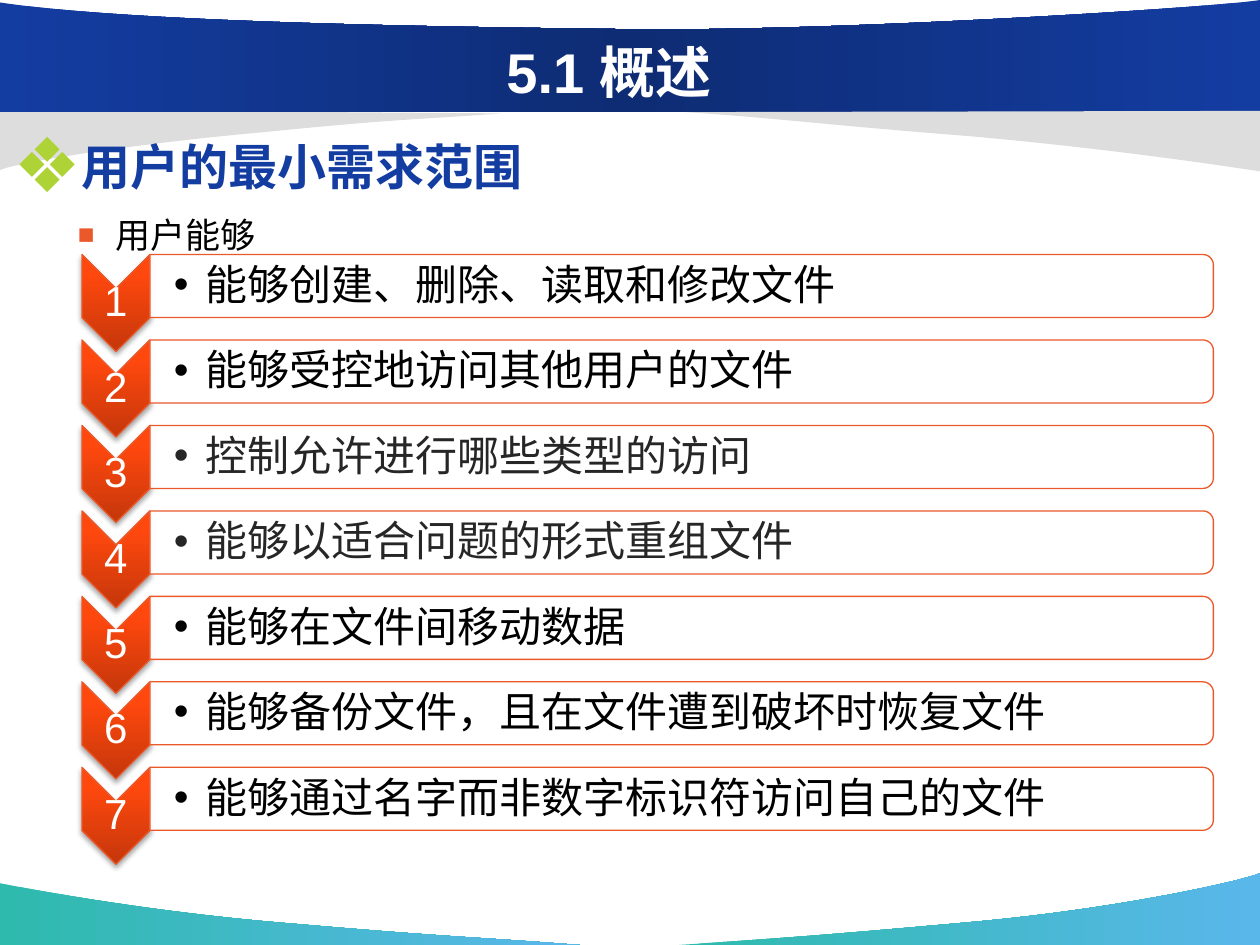
from lxml.etree import SubElement
from pptx import Presentation
from pptx.dml.color import RGBColor
from pptx.enum.shapes import MSO_SHAPE as SHAPE
from pptx.enum.text import MSO_ANCHOR as ANCHOR, PP_ALIGN as ALIGN
from pptx.oxml.ns import qn
from pptx.util import Inches, Pt

TITLE = "5.1 概述"
HEADING = "用户的最小需求范围"
LEAD = "用户能够"
NEEDS = [
    ("能够创建、删除、读取和修改文件", "000000"),
    ("能够受控地访问其他用户的文件", "000000"),
    ("控制允许进行哪些类型的访问", "262626"),
    ("能够以适合问题的形式重组文件", "262626"),
    ("能够在文件间移动数据", "000000"),
    ("能够备份文件，且在文件遭到破坏时恢复文件", "000000"),
    ("能够通过名字而非数字标识符访问自己的文件", "000000"),
]
FONT, ORANGE, NAVY = "Arial", "EB592B", "143DA2"
TEAL_TO_SKY = [(0, "2EBAAD"), (100, "5AB7EA")]
NAVY_BAND = [(0, NAVY), (50, "0E2C74"), (100, NAVY)]
FLAME = [(0, "C5370B"), (80, "FF480E"), (100, "FF4910")]
BANDS = [
    (TEAL_TO_SKY, (4.6, 7.5),
     [(3.84, 7.44, 3.58, 7.44, 2.32, 7.33), (1.06, 7.23, 0.01, 7.01, 0, 7.01), (0, 7.5)]),
    (TEAL_TO_SKY, (5.39, 7.5),
     [(6.14, 7.45, 6.46, 7.43, 7.69, 7.32), (8.92, 7.21, 9.9, 6.98, 10, 6.93), (10, 7.5)]),
    ("DDDDDD", (3.98, 0.9),
     [(3.31, 0.95, 3.18, 0.94, 2.08, 1.05), (0.97, 1.15, 0.09, 1.3, 0, 1.35), (0, 0.87)]),
    (NAVY_BAND, (0, 0.89),
     [(10, 0.89), (10, 0), (9.64, 0.06, 6.53, 0.26, 4.87, 0.23),
      (3.21, 0.21, 1.01, 0.17, 0, 0.02)]),
    ("DDDDDD", (5.44, 0.89),
     [(6.2, 0.94, 6.42, 0.98, 7.68, 1.08), (8.94, 1.19, 9.99, 1.36, 10, 1.36), (10, 0.88)]),
]
FIRST_TOP, LAST_TOP = 2.02, 6.09
PITCH = (LAST_TOP - FIRST_TOP) / (len(NEEDS) - 1)
MARK_LEFT, MARK_W, MARK_H = 0.65, 0.54, 0.77
CARD_LEFT, CARD_W, CARD_H = 1.19, 8.44, 0.5


def rgb(color):
    return RGBColor.from_string(color)


def paint(shape, fill, angle=0):
    shape.shadow.inherit = False
    if isinstance(fill, str):
        shape.fill.solid()
        shape.fill.fore_color.rgb = rgb(fill)
        return
    shape.fill.gradient()
    gradient = shape._element.spPr.find(qn("a:gradFill"))
    gradient.clear()
    gradient.set("rotWithShape", "0")
    stops = SubElement(gradient, qn("a:gsLst"))
    for position, color in fill:
        stop = SubElement(stops, qn("a:gs"), pos=str(position * 1000))
        SubElement(stop, qn("a:srgbClr"), val=color)
    SubElement(gradient, qn("a:lin"), ang=str(angle * 60000), scaled="0")


def outline(shape):
    shape.line.color.rgb = rgb(ORANGE)
    shape.line.width = Pt(0.75)


def add_band(shapes, fill, start, segments):
    """Add a closed outline whose six-number segments are cubic curves."""
    ends = [segment[-2:] for segment in segments]
    left, top = map(min, zip(start, *ends))
    builder = shapes.build_freeform(*map(Inches, start))
    builder.add_line_segments([tuple(map(Inches, end)) for end in ends], close=True)
    band = builder.convert_to_shape()
    sides = list(band._element.spPr.iter(qn("a:lnTo")))
    for side, segment in zip(sides, segments):
        if len(segment) == 6:
            side.tag = qn("a:cubicBezTo")
            side.clear()
            for x, y in zip(segment[::2], segment[1::2]):
                SubElement(side, qn("a:pt"), x=str(Inches(x - left)), y=str(Inches(y - top)))
    paint(band, fill)
    band.line.fill.background()


def add_upright(shapes, kind, left, top, width, height):
    """Add a preset turned by 90 degrees that covers the given box."""
    shift = (width - height) / 2
    shape = shapes.add_shape(kind, Inches(left + shift), Inches(top - shift),
                             Inches(height), Inches(width))
    shape.rotation = 90
    return shape


def add_frame(shapes, left, top, width, height, insets=None):
    frame = shapes.add_textbox(*map(Inches, (left, top, width, height))).text_frame
    frame.word_wrap = True
    if insets:
        frame.margin_left, frame.margin_top, frame.margin_right, frame.margin_bottom = map(
            Inches, insets)
        frame.vertical_anchor = ANCHOR.MIDDLE
    return frame


def write(paragraph, text, size, color, bold=False, spacing=None):
    paragraph.text = text
    font = paragraph.font
    font.name, font.size, font.bold = FONT, Pt(size), bold
    font.color.rgb = rgb(color)
    paragraph.line_spacing = spacing


def add_bullet(paragraph, char, margin, hanging, color=None, percent=100):
    props = paragraph._p.get_or_add_pPr()
    props.set("marL", str(Inches(margin)))
    props.set("indent", str(-Inches(hanging)))
    if color:
        SubElement(SubElement(props, qn("a:buClr")), qn("a:srgbClr"), val=color)
    SubElement(props, qn("a:buSzPct"), val=str(percent * 1000))
    SubElement(props, qn("a:buFont"), typeface=FONT)
    SubElement(props, qn("a:buChar"), char=char)


def add_need(shapes, number, text, color):
    top = FIRST_TOP + (number - 1) * PITCH
    mark = add_upright(shapes, SHAPE.CHEVRON, MARK_LEFT, top, MARK_W, MARK_H)
    paint(mark, FLAME, 270)
    outline(mark)
    shadow = SubElement(mark._element.spPr.find(qn("a:effectLst")), qn("a:outerShdw"),
                        blurRad=str(Pt(3.1)), dist=str(Pt(1.8)), dir="5400000",
                        rotWithShape="0")
    tint = SubElement(shadow, qn("a:srgbClr"), val="000000")
    SubElement(tint, qn("a:alpha"), val="35000")

    label = add_frame(shapes, MARK_LEFT, top + 0.27, MARK_W, 0.23, (0.02,) * 4).paragraphs[0]
    label.alignment = ALIGN.CENTER
    write(label, str(number), 24, "FFFFFF", spacing=0.9)

    card = add_upright(shapes, SHAPE.ROUND_2_SAME_RECTANGLE, CARD_LEFT, top, CARD_W, CARD_H)
    paint(card, "FFFFFF")
    outline(card)
    white = card._element.spPr.find(qn("a:solidFill")).find(qn("a:srgbClr"))
    SubElement(white, qn("a:alpha"), val="90000")

    need = add_frame(shapes, CARD_LEFT, top + 0.03, 8.41, 0.45,
                     (0.19, 0.02, 0.02, 0.02)).paragraphs[0]
    need.level = 1
    add_bullet(need, "•", 0.25, 0.25)
    write(need, text, 24, color, spacing=0.9)


def main():
    prs = Presentation()
    prs.slide_width, prs.slide_height = Inches(10), Inches(7.5)
    slide = prs.slides.add_slide(prs.slide_layouts[5])
    shapes = slide.shapes
    for band in BANDS:
        add_band(shapes, *band)

    intro = add_frame(shapes, 0.01, 0.92, 8.83, 0.67)
    heading, lead = intro.paragraphs[0], intro.add_paragraph()
    add_bullet(heading, "❖", 0.38, 0.38, "AED337", 155)
    write(heading, HEADING, 28, NAVY, bold=True, spacing=1.25)
    lead.level = 1
    add_bullet(lead, "▪", 0.81, 0.31, ORANGE, 155)
    write(lead, LEAD, 20, "000000", spacing=1.25)
    lead.space_before = Pt(4)

    for number, (text, color) in enumerate(NEEDS, 1):
        add_need(shapes, number, text, color)

    title = shapes.title
    title.left, title.top, title.width, title.height = map(Inches, (0.92, 0.25, 7.83, 0.62))
    title.text_frame.vertical_anchor = ANCHOR.TOP
    write(title.text_frame.paragraphs[0], TITLE, 32, "FFFFFF", bold=True)
    title.text_frame.paragraphs[0].alignment = ALIGN.CENTER
    shapes._spTree.append(title._element)
    prs.save("out.pptx")


if __name__ == "__main__":
    main()
